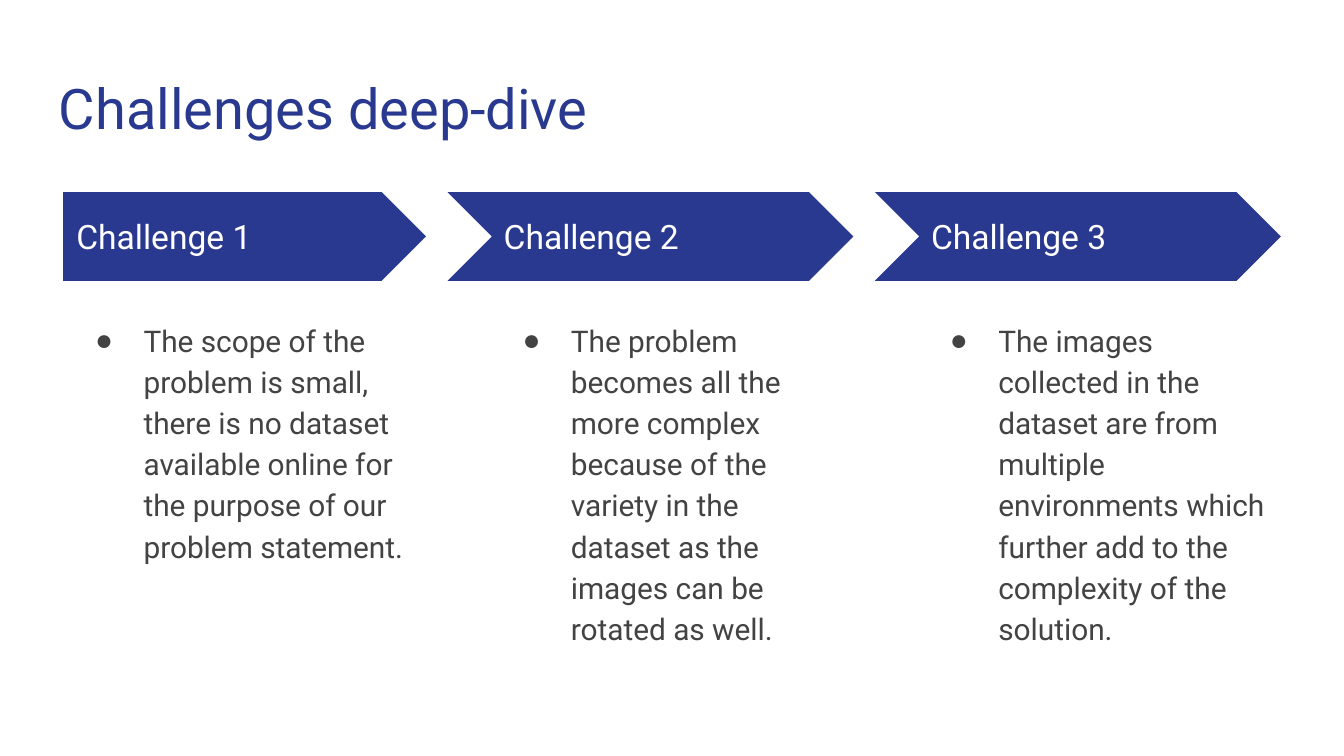
from lxml import etree
from pptx import Presentation
from pptx import util as u
from pptx.dml.color import RGBColor
from pptx.enum import shapes, text
from pptx.oxml.ns import qn

COLORS = {"navy": "2A3990", "white": "FFFFFF", "grey": "434343"}
FONT, BULLET_FONT = "Roboto", "Arial"

# Column layout in inches
LEFT, PITCH, COL_W = 0.47, 3.18, 2.7
NOTCH = 0.32  # how far a chevron reaches left of its column
ARROW_Y, ARROW_H = 1.43, 0.66

CHALLENGES = [
    ("Challenge 1", "The scope of the problem is small, there is no dataset "
     "available online for the purpose of our problem statement."),
    ("Challenge 2", "The problem becomes all the more complex because of the "
     "variety in the dataset as the images can be rotated as well."),
    ("Challenge 3", "The images collected in the dataset are from multiple "
     "environments which further add to the complexity of the solution."),
]


def rgb(name):
    return RGBColor.from_string(COLORS[name])


def add_text(s, content, box, size, color, anchor=text.MSO_ANCHOR.TOP):
    """Add a wrapped one-paragraph text box and return its paragraph."""
    tf = s.shapes.add_textbox(*map(u.Inches, box)).text_frame
    inset = u.Inches(0.1)
    frame = {"word_wrap": True, "vertical_anchor": anchor,
             "margin_left": inset, "margin_right": inset,
             "margin_top": inset, "margin_bottom": inset}
    for name, value in frame.items():
        setattr(tf, name, value)
    p = tf.paragraphs[0]
    r = p.add_run()
    r.text = content
    for name, value in {"name": FONT, "size": u.Pt(size)}.items():
        setattr(r.font, name, value)
    r.font.color.rgb = rgb(color)
    return p


def add_bullet(p, color):
    """Give a paragraph a hanging round bullet."""
    p.line_spacing = 1.15
    pPr = p._p.get_or_add_pPr()
    pPr.set("marL", str(u.Inches(0.5)))
    pPr.set("indent", str(u.Inches(-0.36)))
    clr = etree.SubElement(pPr, qn("a:buClr"))
    etree.SubElement(clr, qn("a:srgbClr"), val=COLORS[color])
    etree.SubElement(pPr, qn("a:buFont"), typeface=BULLET_FONT)
    etree.SubElement(pPr, qn("a:buChar"), char="●")


def add_arrow(s, kind, x, width):
    sp = s.shapes.add_shape(kind, *map(u.Inches, (x, ARROW_Y, width, ARROW_H)))
    sp.adjustments[0] = 0.5
    sp.shadow.inherit = False
    sp.fill.solid()
    sp.fill.fore_color.rgb = rgb("navy")
    sp.line.fill.background()


def add_challenge(s, i, heading, body):
    x = LEFT + i * PITCH
    # Arrow: the first has a flat back, the others are notched
    if i == 0:
        add_arrow(s, shapes.MSO_SHAPE.PENTAGON, x, COL_W)
    else:
        add_arrow(s, shapes.MSO_SHAPE.CHEVRON, x - NOTCH, COL_W + NOTCH)
    # Heading and description
    add_text(s, heading, (x, 1.59, 2.47, 0.34), 18, "white",
             text.MSO_ANCHOR.MIDDLE)
    p = add_text(s, body, (x, 2.26, COL_W, 2.9), 16, "grey")
    add_bullet(p, "grey")


def main():
    # Widescreen 16:9 slide
    prs = Presentation()
    prs.slide_width = u.Inches(10)
    prs.slide_height = u.Inches(10 * 9 / 16)
    s = prs.slides.add_slide(prs.slide_layouts[6])

    # Title
    add_text(s, "Challenges deep-dive", (0.34, 0.45, 9.32, 0.66), 30, "navy")

    # Three challenge columns
    for i, (heading, body) in enumerate(CHALLENGES):
        add_challenge(s, i, heading, body)

    prs.save("out.pptx")


if __name__ == "__main__":
    main()
